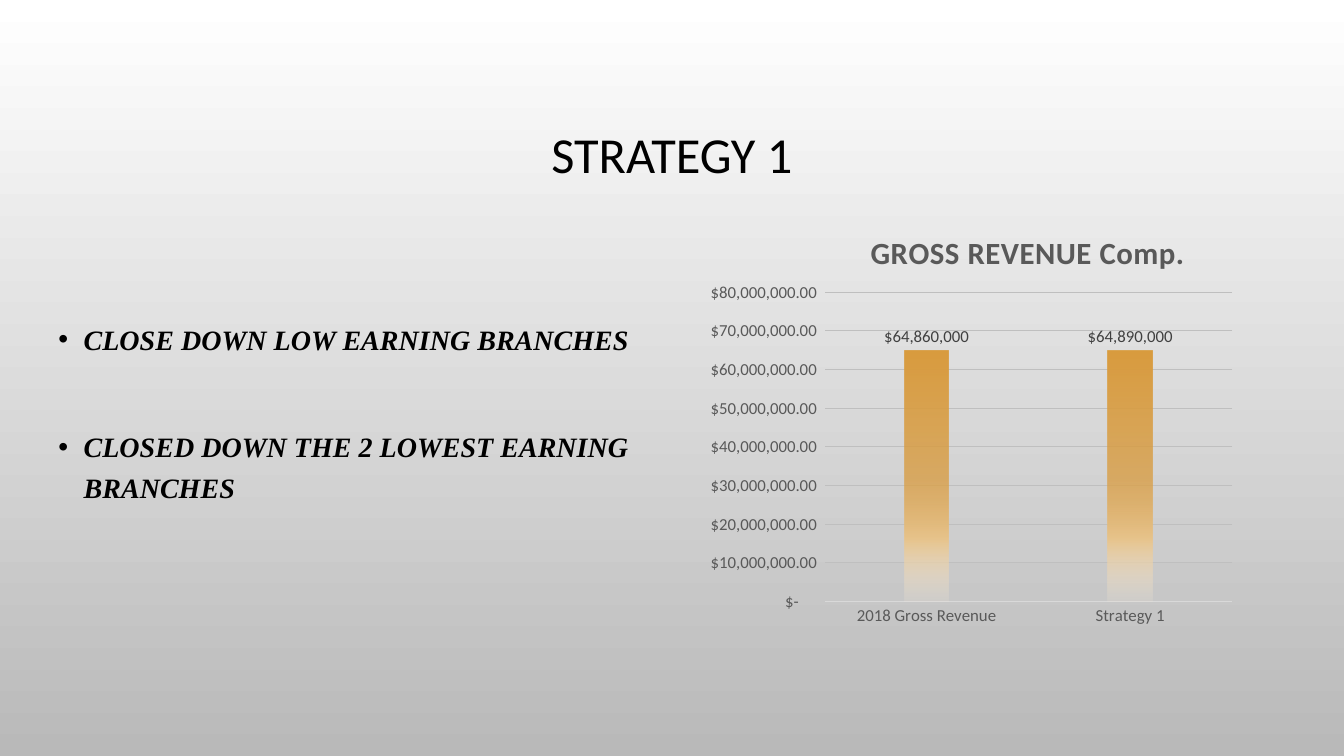
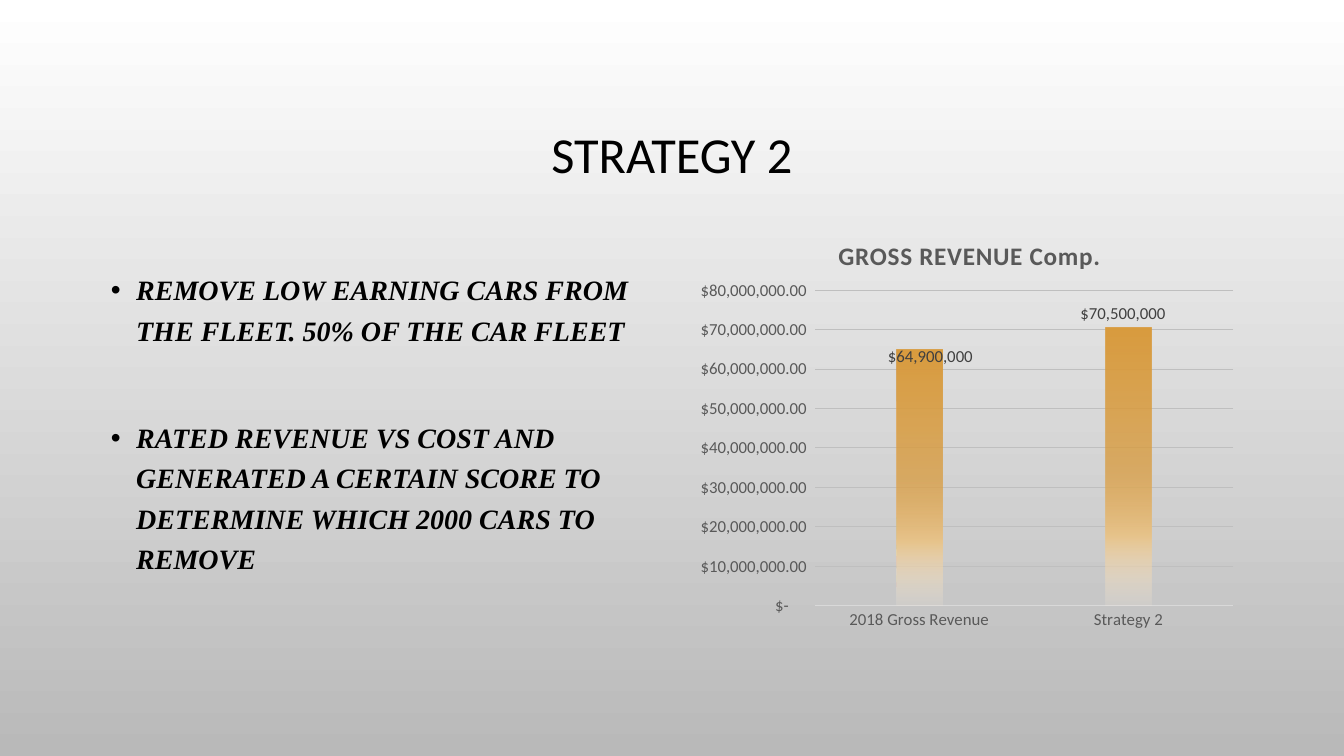
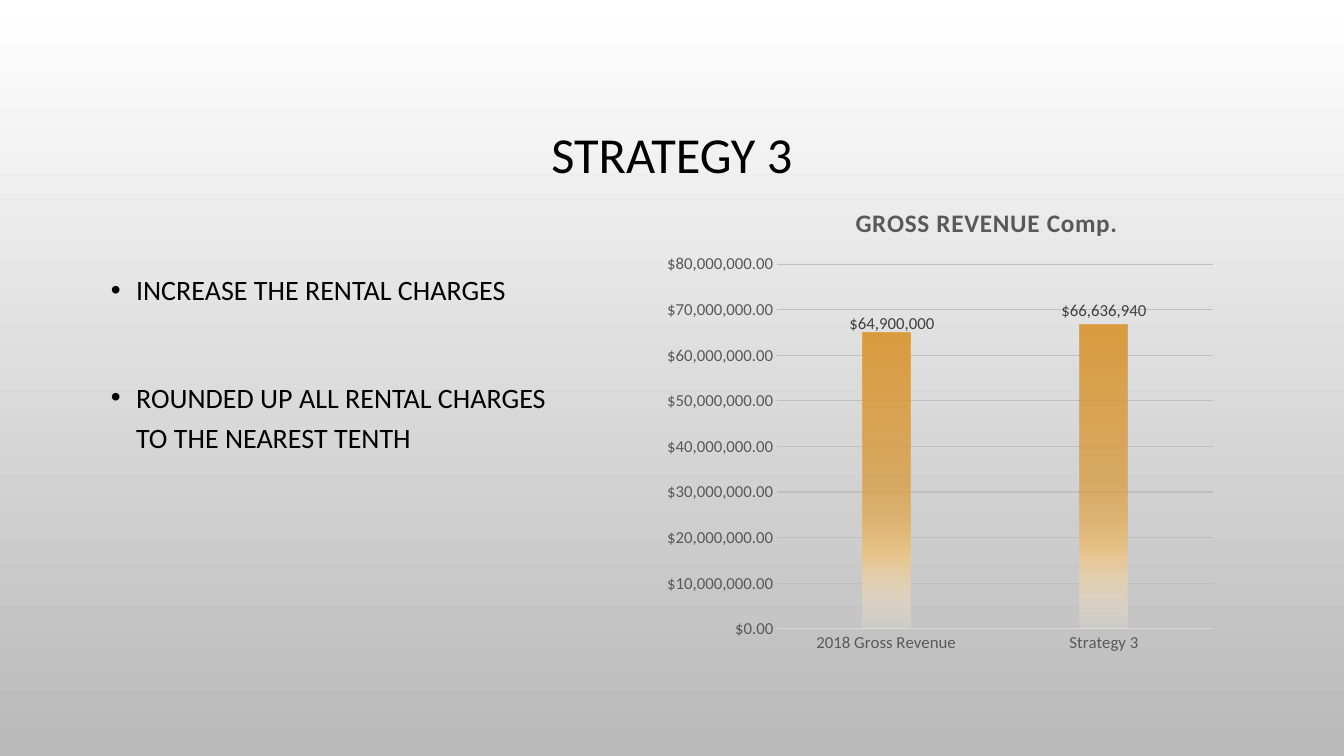
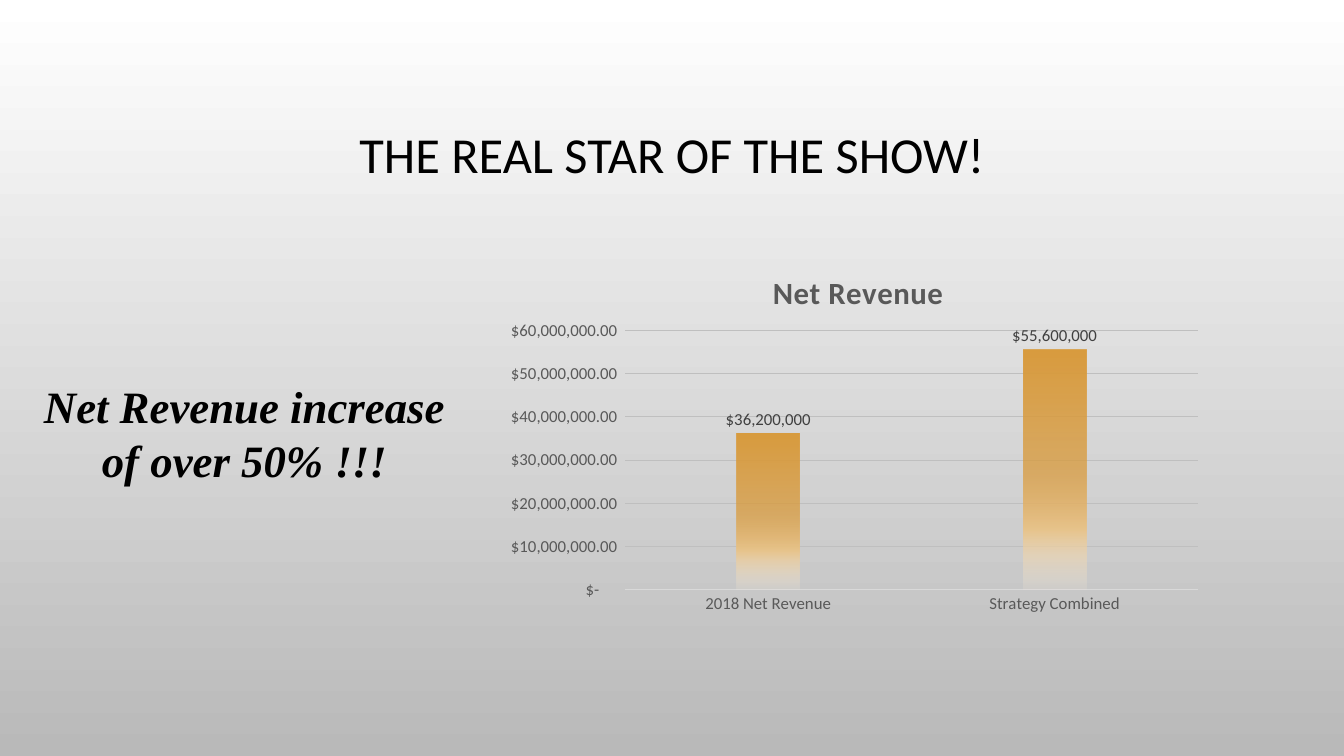
from copy import deepcopy

from lxml.etree import SubElement
from pptx import Presentation
from pptx.chart.data import CategoryChartData
from pptx.dml.color import RGBColor
from pptx.enum.chart import XL_CHART_TYPE, XL_LABEL_POSITION, XL_TICK_MARK
from pptx.enum.text import MSO_ANCHOR, MSO_AUTO_SIZE, PP_ALIGN
from pptx.oxml import parse_xml
from pptx.oxml.ns import nsdecls, qn
from pptx.util import Inches, Pt

COLORS = {"text": "000000", "muted": "595959", "label": "404040",
          "grid": "BFBFBF", "axis": "D9D9D9"}
SANS, SERIF = "Calibri", "Times New Roman"
# Gradient stops: position %, colour, opacity %
PAGE_STOPS = [(0, "FFFFFF", 100), (100, "B9B9B9", 100)]
BAR_STOPS = [(0, "D99C3F", 100), (51, "D99C3F", 75),
             (75, "E8C48C", 100), (100, "F7EBD9", 15)]
ACCOUNTING = '_("$"* #,##0.00_);_("$"* \\(#,##0.00\\);_("$"* "-"??_);_(@_)'
CURRENCY = '"$"#,##0.00'
WHOLE_DOLLARS = '"$"#,##0'
STEP = 10_000_000

# Boxes are left, top, width, height in inches on the slide.
# label_shifts moves a point's label by shares of the chart's size.
GROSS = {"heading": "GROSS REVENUE Comp.", "series": "Series 1", "size": 18,
         "maximum": 8 * STEP, "format": ACCOUNTING, "label_shifts": {}}
SLIDES = [
    {"title": "STRATEGY 1",
     "bullets": ["CLOSE DOWN LOW EARNING BRANCHES",
                 "CLOSED DOWN THE 2 LOWEST EARNING BRANCHES"],
     "body": (0.48, 3.08, 5.95, 3.74), "serif": True,
     "chart": GROSS | {
         "box": (6.91, 2.11, 5.43, 4.19), "plot": (8.18, 2.9, 4.04, 3.07),
         "heading_at": (8.58, 2.24), "size": 22,
         "values": {"2018 Gross Revenue": 64860000, "Strategy 1": 64890000}}},
    {"title": "STRATEGY 2",
     "bullets": ["REMOVE LOW EARNING CARS FROM THE FLEET. 50% OF THE CAR FLEET",
                 "RATED REVENUE VS COST AND GENERATED A CERTAIN SCORE TO "
                 "DETERMINE WHICH 2000 CARS TO REMOVE"],
     "body": (1, 2.59, 5.53, 3.74), "serif": True,
     "chart": GROSS | {
         "box": (6.8, 2.11, 5.53, 4.23), "plot": (8.08, 2.88, 4.15, 3.13),
         "heading_at": (8.27, 2.32),
         "label_shifts": {0: (0.02, 0.05), 1: (-0.01, 0)},
         "values": {"2018 Gross Revenue": 64900000, "Strategy 2": 70500000}}},
    {"title": "STRATEGY 3",
     "bullets": ["INCREASE THE RENTAL CHARGES",
                 "ROUNDED UP ALL RENTAL CHARGES TO THE NEAREST TENTH"],
     "body": (1, 2.59, 4.64, 3.74), "serif": False,
     "chart": GROSS | {
         "box": (6.5, 1.83, 5.64, 4.75), "plot": (7.71, 2.62, 4.32, 3.62),
         "heading_at": (8.44, 1.99), "format": CURRENCY,
         "label_shifts": {0: (0.01, 0.01)},
         "values": {"2018 Gross Revenue": 64900000, "Strategy 3": 66636940}}},
    {"title": "THE REAL STAR OF THE SHOW!",
     "callout": "Net Revenue increase of over 50% !!!",
     "callout_box": (0.27, 3.71, 4.31, 1.18),
     "chart": {
         "heading": "Net Revenue", "series": "Net Revenue", "size": 22,
         "maximum": 6 * STEP, "format": ACCOUNTING, "label_shifts": {},
         "box": (4.88, 2.42, 7.14, 3.74), "plot": (6.2, 3.28, 5.68, 2.57),
         "heading_at": (7.61, 2.64),
         "values": {"2018 Net Revenue": 36200000, "Strategy Combined": 55600000}}},
]


def rgb(name):
    return RGBColor.from_string(COLORS[name])


def style_font(font, size, color="text", name=SANS, bold=False, italic=False):
    font.size, font.name, font.bold, font.italic = Pt(size), name, bold, italic
    font.color.rgb = rgb(color)


def place(shape, box):
    shape.left, shape.top, shape.width, shape.height = map(Inches, box)


def paint_gradient(fill, owner, stops):
    """Fill from top to bottom; owner is the element that holds the fill."""
    fill.gradient()
    fill.gradient_angle = 270
    stop_list = owner.find(".//" + qn("a:gsLst"))
    for old in list(stop_list):
        stop_list.remove(old)
    for position, color, opacity in stops:
        stop = SubElement(stop_list, qn("a:gs"), pos=str(position * 1000))
        paint = SubElement(stop, qn("a:srgbClr"), val=color)
        if opacity < 100:
            SubElement(paint, qn("a:alpha"), val=str(opacity * 1000))


def set_layout(parent, index, **settings):
    """Put a manual chart layout into parent as the child at index."""
    for old in parent.findall(qn("c:layout")):
        parent.remove(old)
    layout = parse_xml(f"<c:layout {nsdecls('c')}><c:manualLayout/></c:layout>")
    for tag, value in settings.items():
        SubElement(layout[0], qn("c:" + tag), val=str(value))
    parent.insert(index, layout)


def clear_fill(parent, index):
    parent.insert(index, parse_xml(
        f"<c:spPr {nsdecls('c', 'a')}><a:noFill/><a:ln><a:noFill/></a:ln></c:spPr>"))


def prepare_master(deck):
    master = deck.slide_master
    paint_gradient(master.background.fill, master.element, PAGE_STOPS)
    title, body = master.placeholders[0], master.placeholders[1]
    place(title, (1, 0.68, 11.33, 1.75))
    place(body, (1, 2.59, 11.33, 3.74))
    title.text_frame.vertical_anchor = MSO_ANCHOR.MIDDLE
    bullet_level = master.element.find(".//" + qn("p:bodyStyle"))[0]
    bullet_level.set("marL", str(Inches(0.25)))
    bullet_level.set("indent", str(Inches(-0.25)))


def add_title(page, text):
    frame = page.shapes.title.text_frame
    frame.auto_size = MSO_AUTO_SIZE.NONE
    para = frame.paragraphs[0]
    para.alignment, para.line_spacing = PP_ALIGN.CENTER, 0.9
    span = para.add_run()
    span.text = text
    style_font(span.font, 36)


def add_bullets(page, bullets, box, serif):
    body = page.placeholders[1]
    place(body, box)
    frame = body.text_frame
    frame.auto_size = MSO_AUTO_SIZE.NONE
    for number, text in enumerate(bullets):
        para = frame.add_paragraph() if number else frame.paragraphs[0]
        para.line_spacing, para.space_before = 1.2, Pt(48 if number else 10)
        span = para.add_run()
        span.text = text
        style_font(span.font, 20, name=SERIF if serif else SANS,
                   bold=serif, italic=serif)


def add_callout(page, text, box):
    frame = page.shapes.add_textbox(*map(Inches, box)).text_frame
    frame.word_wrap, frame.auto_size = True, MSO_AUTO_SIZE.SHAPE_TO_FIT_TEXT
    para = frame.paragraphs[0]
    para.alignment = PP_ALIGN.CENTER
    span = para.add_run()
    span.text = text
    style_font(span.font, 32, name=SERIF, bold=True, italic=True)


def style_axes(chart, maximum, number_format):
    category, value = chart.category_axis, chart.value_axis
    for axis in (category, value):
        axis.major_tick_mark = axis.minor_tick_mark = XL_TICK_MARK.NONE
        style_font(axis.tick_labels.font, 12, "muted")
    category.format.line.color.rgb = rgb("axis")
    category.format.line.width = Pt(0.75)
    value.format.line.fill.background()
    value.minimum_scale, value.maximum_scale, value.major_unit = 0, maximum, STEP
    value.tick_labels.number_format = number_format
    value.tick_labels.number_format_is_linked = False
    grid = value.major_gridlines.format.line
    grid.color.rgb, grid.width = rgb("grid"), Pt(0.75)


def add_labels(plot, shifts):
    plot.has_data_labels = True
    series = plot.series[0]
    labels = series.data_labels
    labels.show_value = True
    labels.position = XL_LABEL_POSITION.OUTSIDE_END
    labels.number_format, labels.number_format_is_linked = WHOLE_DOLLARS, False
    style_font(labels.font, 12, "label")
    label_list = series._element.find(qn("c:dLbls"))
    number_format = label_list.find(qn("c:numFmt"))
    for number, (x, y) in shifts.items():
        label = series.points[number].data_label
        style_font(label.font, 12, "label")
        label.position = XL_LABEL_POSITION.OUTSIDE_END
        element = label_list.findall(qn("c:dLbl"))[-1]
        set_layout(element, 1, x=x, y=y)
        element.insert(2, deepcopy(number_format))


def add_column_chart(page, spec):
    data = CategoryChartData()
    data.categories = list(spec["values"])
    data.add_series(spec["series"], spec["values"].values())
    left, top, width, height = spec["box"]
    chart = page.shapes.add_chart(XL_CHART_TYPE.COLUMN_CLUSTERED,
                                  *map(Inches, spec["box"]), data).chart
    style_font(chart.font, 10)
    chart.has_legend = False

    span = chart.chart_title.text_frame.paragraphs[0].add_run()
    span.text = spec["heading"]
    style_font(span.font, spec["size"], "muted", bold=True)
    span._r.get_or_add_rPr().set("spc", "50")
    chart.chart_title.include_in_layout = False

    style_axes(chart, spec["maximum"], spec["format"])
    plot = chart.plots[0]
    plot.gap_width, plot.overlap, plot.vary_by_categories = 355, -70, False
    series = plot.series[0]
    paint_gradient(series.format.fill, series._element, BAR_STOPS)
    add_labels(plot, spec["label_shifts"])

    root = chart._chartSpace
    area, plot_area = root.chart, root.chart.plotArea
    heading_x, heading_y = spec["heading_at"]
    set_layout(area.find(qn("c:title")), 1, xMode="edge", yMode="edge",
               x=(heading_x - left) / width, y=(heading_y - top) / height)
    plot_left, plot_top, plot_width, plot_height = spec["plot"]
    set_layout(plot_area, 0, layoutTarget="inner", xMode="edge", yMode="edge",
               x=(plot_left - left) / width, y=(plot_top - top) / height,
               w=plot_width / width, h=plot_height / height)
    clear_fill(plot_area, len(plot_area))
    clear_fill(root, root.index(area) + 1)


def main():
    deck = Presentation()
    deck.slide_width, deck.slide_height = Inches(13.33), Inches(7.5)
    prepare_master(deck)
    title_and_content, title_only = deck.slide_layouts[1], deck.slide_layouts[5]
    for content in SLIDES:
        has_bullets = "bullets" in content
        page = deck.slides.add_slide(title_and_content if has_bullets else title_only)
        add_title(page, content["title"])
        if has_bullets:
            add_bullets(page, content["bullets"], content["body"], content["serif"])
        add_column_chart(page, content["chart"])
        if "callout" in content:
            add_callout(page, content["callout"], content["callout_box"])
    deck.save("out.pptx")


if __name__ == "__main__":
    main()
